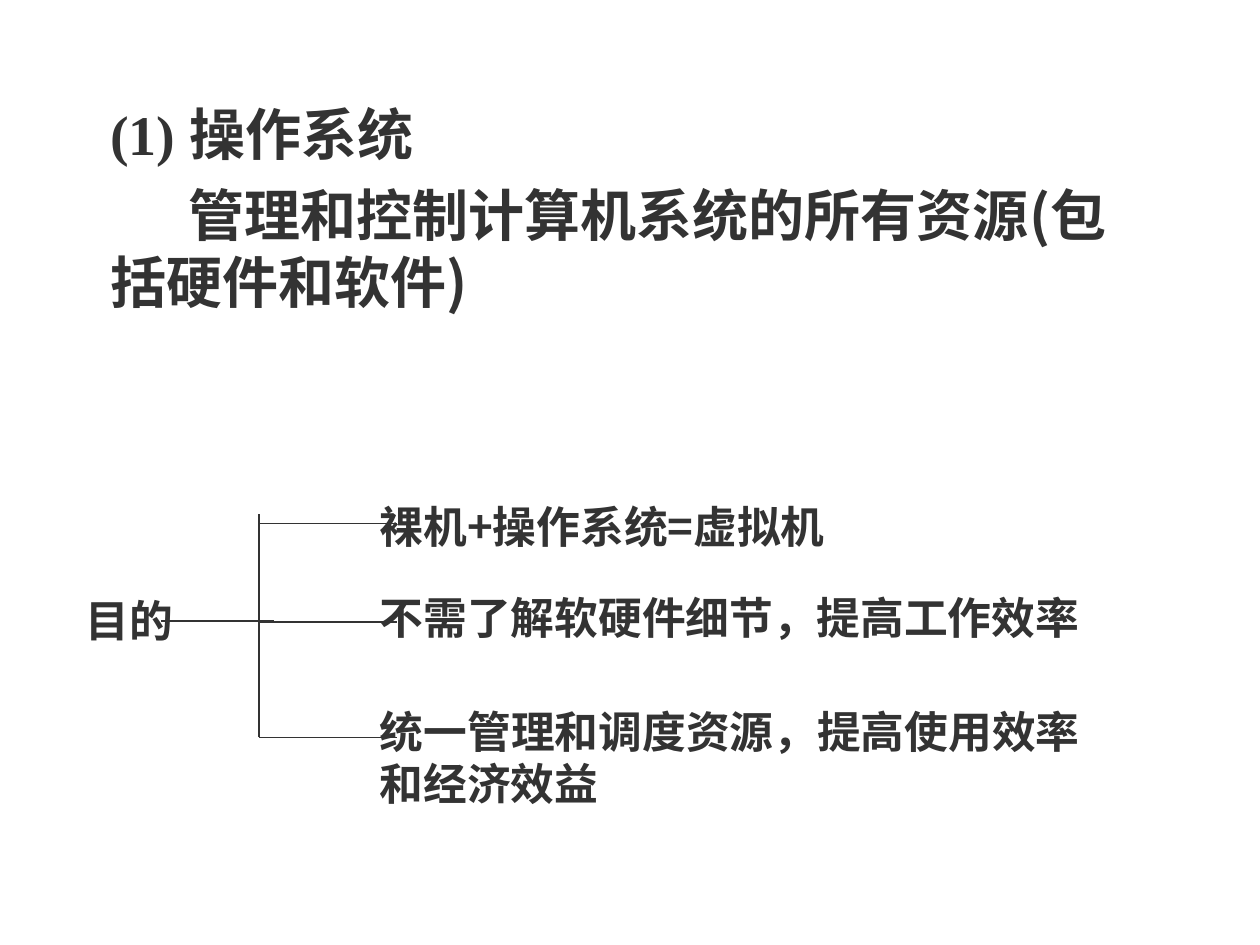
"""Build a slide on the role and aims of an operating system."""
import pptx
import pptx.util
import pptx.dml.color
import pptx.enum.shapes
import pptx.enum.text
import pptx.oxml.ns
import lxml.etree

Pt = pptx.util.Pt
INK = pptx.dml.color.RGBColor(0x33, 0x33, 0x33)
SANS = "Noto Sans CJK SC"
SERIF = "Times New Roman"
LEFT = pptx.enum.text.PP_ALIGN.LEFT
JUST = pptx.enum.text.PP_ALIGN.JUSTIFY
qn = pptx.oxml.ns.qn

deck = pptx.Presentation()
deck.slide_width, deck.slide_height = Pt(720), Pt(540)
slide = deck.slides.add_slide(deck.slide_layouts[6])


def write(para, text, size=25, font=SANS, align=JUST, before=0, margin=0, indent=0):
    para.alignment = align
    para.space_before = Pt(before)
    props = para._p.get_or_add_pPr()
    props.set("marL", str(Pt(margin)))
    props.set("indent", str(Pt(indent)))
    run = para.add_run()
    run.text = text
    run.font.size = Pt(size)
    run.font.bold = True
    run.font.color.rgb = INK
    run.font.name = font
    east = lxml.etree.SubElement(run._r.get_or_add_rPr(), qn("a:ea"))
    east.set("typeface", SANS)


def add_box(left, top, width, height, inset_x=7.2, inset_y=3.6):
    frame = slide.shapes.add_textbox(Pt(left), Pt(top), Pt(width), Pt(height)).text_frame
    frame.word_wrap = True
    frame.margin_left = frame.margin_right = Pt(inset_x)
    frame.margin_top = frame.margin_bottom = Pt(inset_y)
    return frame


head = add_box(30.25, 54, 636, 126, 5.75, 2.88)
style = dict(size=32, align=LEFT, before=8, margin=27)
write(head.paragraphs[0], "(1) 操作系统", font=SERIF, **style)
write(head.add_paragraph(), "管理和控制计算机系统的所有资源(包括硬件和软件)", indent=44.6, **style)

labels = [
    ("裸机+操作系统=虚拟机", 210, 282.2, 294, 36.7),
    ("统一管理和调度资源，提高使用效率和经济效益", 210, 399, 414, 67),
    ("不需了解软硬件细节，提高工作效率", 210, 334.2, 445, 36.7),
    ("目的", 41.8, 335.5, 82.8, 36.7),
]
for text, *place in labels:
    write(add_box(*place).paragraphs[0], text)

stem, tip = 148, 227
lines = [(stem, y, tip, y) for y in (299.2, 355.6, 421.4)]
lines += [(stem, 294, stem, 421.4), (92.2, 354.8, 156.8, 354.8)]
for ends in lines:
    line = slide.shapes.add_connector(
        pptx.enum.shapes.MSO_CONNECTOR.STRAIGHT, *map(Pt, ends))
    line.line.color.rgb = INK
    line.line.width = Pt(1)
    lxml.etree.SubElement(line._element.spPr, qn("a:effectLst"))

deck.save("out.pptx")
